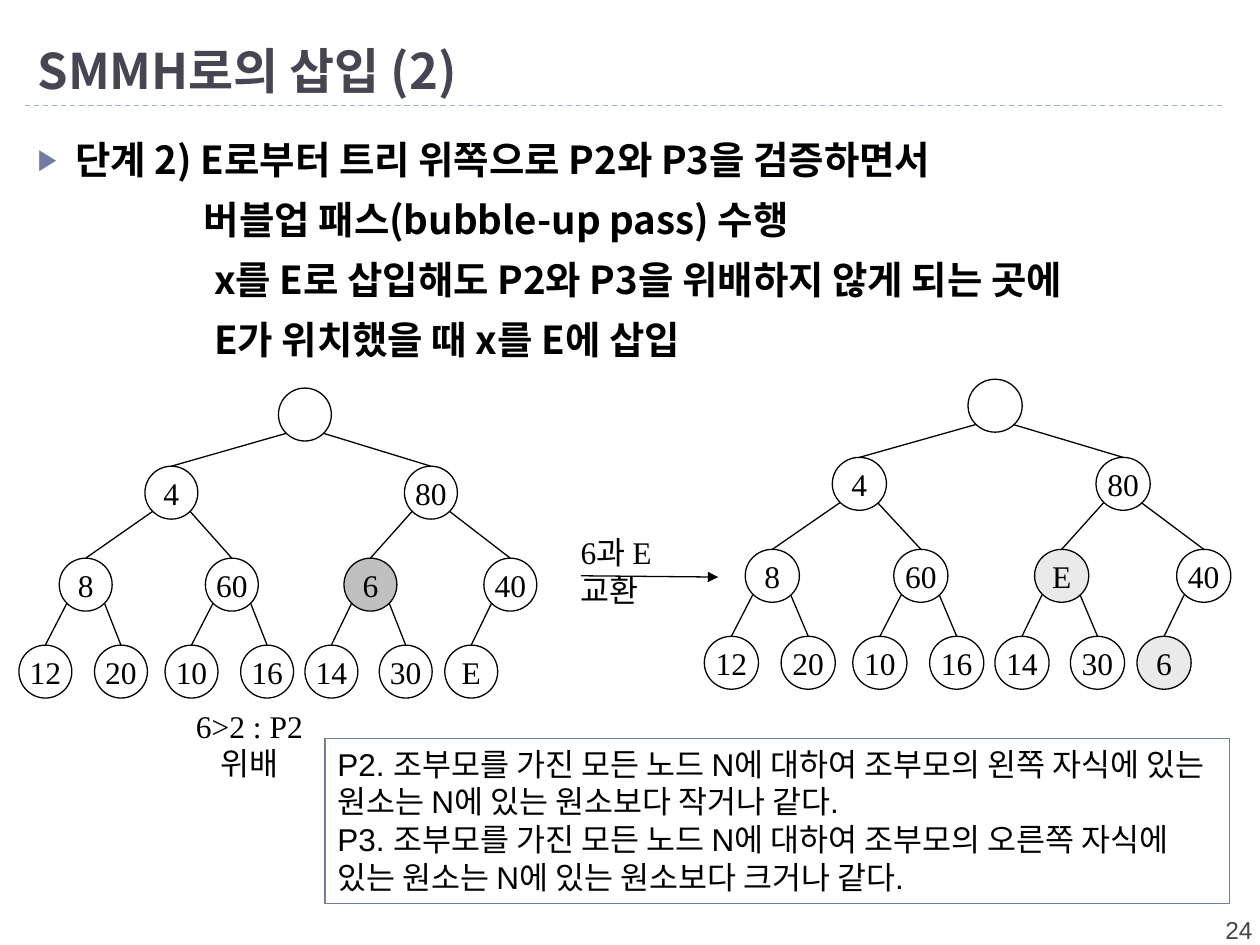
import pptx
import pptx.util
import pptx.dml.color
import pptx.enum.dml
import pptx.enum.shapes
import pptx.enum.text
import pptx.oxml.ns
import lxml.etree

Inches, Pt = pptx.util.Inches, pptx.util.Pt
RGB = pptx.dml.color.RGBColor
ALIGN = pptx.enum.text.PP_ALIGN
ANCHOR = pptx.enum.text.MSO_ANCHOR
KIND = pptx.enum.shapes.MSO_SHAPE
BLACK, INK = RGB(0, 0, 0), RGB(0x46, 0x46, 0x53)
BLUE, RULE = RGB(0x72, 0x7C, 0xA3), RGB(0x9F, 0xB8, 0xCD)
GRAY, PALE = RGB(0xC0, 0xC0, 0xC0), RGB(0xEA, 0xEA, 0xEA)
SANS, SERIF, ARIAL = "Noto Sans CJK KR", "Times New Roman", "Arial"

# Content
TITLE = "SMMH로의 삽입 (2)"
STEPS = [  # text, left margin
    ("단계 2) E로부터 트리 위쪽으로 P2와 P3을 검증하면서", 0.3),
    ("버블업 패스(bubble-up pass) 수행", 1.32),
    ("x를 E로 삽입해도 P2와 P3을 위배하지 않게 되는 곳에", 1.4),
    ("E가 위치했을 때 x를 E에 삽입", 1.4),
]
RULES = [
    "P2. 조부모를 가진 모든 노드 N에 대하여 조부모의 왼쪽 자식에 있는 원소는 N에 있는 원소보다 작거나 같다.",
    "P3. 조부모를 가진 모든 노드 N에 대하여 조부모의 오른쪽 자식에 있는 원소는 N에 있는 원소보다 크거나 같다.",
]
# Heap order: the children of node i are 2i+1 and 2i+2
COLS = [2.06, 1, 3.06, 0.32, 1.48, 2.58, 3.69,
        0, 0.6, 1.16, 1.76, 2.27, 2.86, 3.38]
ROWS = [0, 0.62, 1.35, 2.04]
KEYS = ["", "4", "80", "8", "60", "6", "40",
        "12", "20", "10", "16", "14", "30", "E"]
SWAP = KEYS[:5] + ["E"] + KEYS[6:13] + ["6"]
TREES = [  # left, top, scale across, node width, keys, fills
    (0.15, 3.08, 1, 0.42, KEYS, {5: GRAY}),
    (5.59, 3.01, 1.016, 0.43, SWAP, {5: PALE, 13: PALE}),
]
HIGH = 0.42

deck = pptx.Presentation()
deck.slide_width, deck.slide_height = Inches(10), Inches(7.5)
slide = deck.slides.add_slide(deck.slide_layouts[6])


def style(frame, size, font, color=BLACK, bold=False, align=ALIGN.LEFT):
    for para in frame.paragraphs:
        para.alignment = align
        for run in para.runs:
            run.font.size, run.font.name = Pt(size), font
            run.font.bold, run.font.color.rgb = bold, color
            if font == SANS:
                east = lxml.etree.SubElement(
                    run.font._element, pptx.oxml.ns.qn("a:ea"))
                east.set("typeface", font)


def label(text, box, size, font, anchor=ANCHOR.TOP, **look):
    frame = slide.shapes.add_textbox(*map(Inches, box)).text_frame
    frame.word_wrap, frame.vertical_anchor = True, anchor
    frame.text = text
    style(frame, size, font, **look)
    return frame


def line(home, start, end, color=BLACK):
    link = home.add_connector(pptx.enum.shapes.MSO_CONNECTOR.STRAIGHT,
                              *map(Inches, start + end))
    link.line.color.rgb, link.line.width = color, Pt(0.75)
    lxml.etree.SubElement(link._element.spPr, pptx.oxml.ns.qn("a:effectLst"))
    return link


def shape(home, kind, box, fill=None, edge=BLACK):
    item = home.add_shape(kind, *map(Inches, box))
    item.shadow.inherit = False
    if fill is None:
        item.fill.background()
    else:
        item.fill.solid()
        item.fill.fore_color.rgb = fill
    item.line.color.rgb, item.line.width = edge, Pt(0.75)
    return item


def tree(left, top, scale, wide, keys, fills):
    home = slide.shapes.add_group_shape().shapes
    spots = [(left + col * scale, top + ROWS[(i + 1).bit_length() - 1])
             for i, col in enumerate(COLS)]
    for i, (x, y) in enumerate(spots):
        if i:
            px, py = spots[(i - 1) // 2]
            side = 0.06 if i % 2 else 0.36
            line(home, (px + side, py + 0.36), (x + wide / 2, y))
        node = shape(home, KIND.OVAL, (x, y, wide, HIGH), fills.get(i))
        if keys[i]:
            frame = node.text_frame
            frame.margin_left = frame.margin_right = 0
            frame.margin_top = frame.margin_bottom = 0
            frame.word_wrap, frame.vertical_anchor = False, ANCHOR.MIDDLE
            frame.text = keys[i]
            style(frame, 18, SERIF, align=ALIGN.CENTER)


# Title, rule and page number
rule = line(slide.shapes, (0.2, 0.84), (9.72, 0.84), RULE)
rule.line.dash_style = pptx.enum.dml.MSO_LINE.DASH
label(TITLE, (0.2, 0.17, 9.61, 0.67), 28, SANS, ANCHOR.BOTTOM,
      color=INK, bold=True)
label("24", (7.87, 7.21, 2.17, 0.4), 14, ARIAL, color=INK, align=ALIGN.RIGHT)

# Steps, with a bullet on the first
body = label("\n".join(text for text, _ in STEPS), (0.2, 0.92, 9.61, 2.1),
             22, SANS, bold=True)
for para, (_, indent) in zip(body.paragraphs, STEPS):
    para.line_spacing = Pt(34.3)
    para._p.get_or_add_pPr().set("marL", str(Inches(indent)))
first = body.paragraphs[0]
first.space_before = Pt(2)
props = first._p.get_or_add_pPr()
props.set("indent", str(Inches(-0.3)))
tint = lxml.etree.SubElement(props, pptx.oxml.ns.qn("a:buClr"))
lxml.etree.SubElement(tint, pptx.oxml.ns.qn("a:srgbClr")).set("val", str(BLUE))
for tag, key, value in [("a:buSzPct", "val", "76000"),
                        ("a:buFont", "typeface", ARIAL),
                        ("a:buChar", "char", "▶")]:
    lxml.etree.SubElement(props, pptx.oxml.ns.qn(tag)).set(key, value)

# Trees before and after the swap
for spec_row in TREES:
    tree(*spec_row)
label("6>2 : P2 위배", (1.33, 5.56, 1.3, 0.7), 18, SERIF, align=ALIGN.CENTER)

# Swap arrow
arrow = line(slide.shapes, (4.61, 4.57), (5.7, 4.58))
head = lxml.etree.SubElement(arrow.line._get_or_add_ln(),
                             pptx.oxml.ns.qn("a:tailEnd"))
head.set("type", "triangle")
label("6과 E 교환", (4.51, 4.18, 1.2, 0.7), 18, SERIF)

# Rules box
note = shape(slide.shapes, KIND.RECTANGLE, (2.58, 5.86, 7.18, 1.31), edge=BLUE)
note.text_frame.word_wrap = True
note.text_frame.vertical_anchor = ANCHOR.TOP
note.text_frame.text = "\n".join(RULES)
style(note.text_frame, 18, ARIAL)

deck.save("out.pptx")
